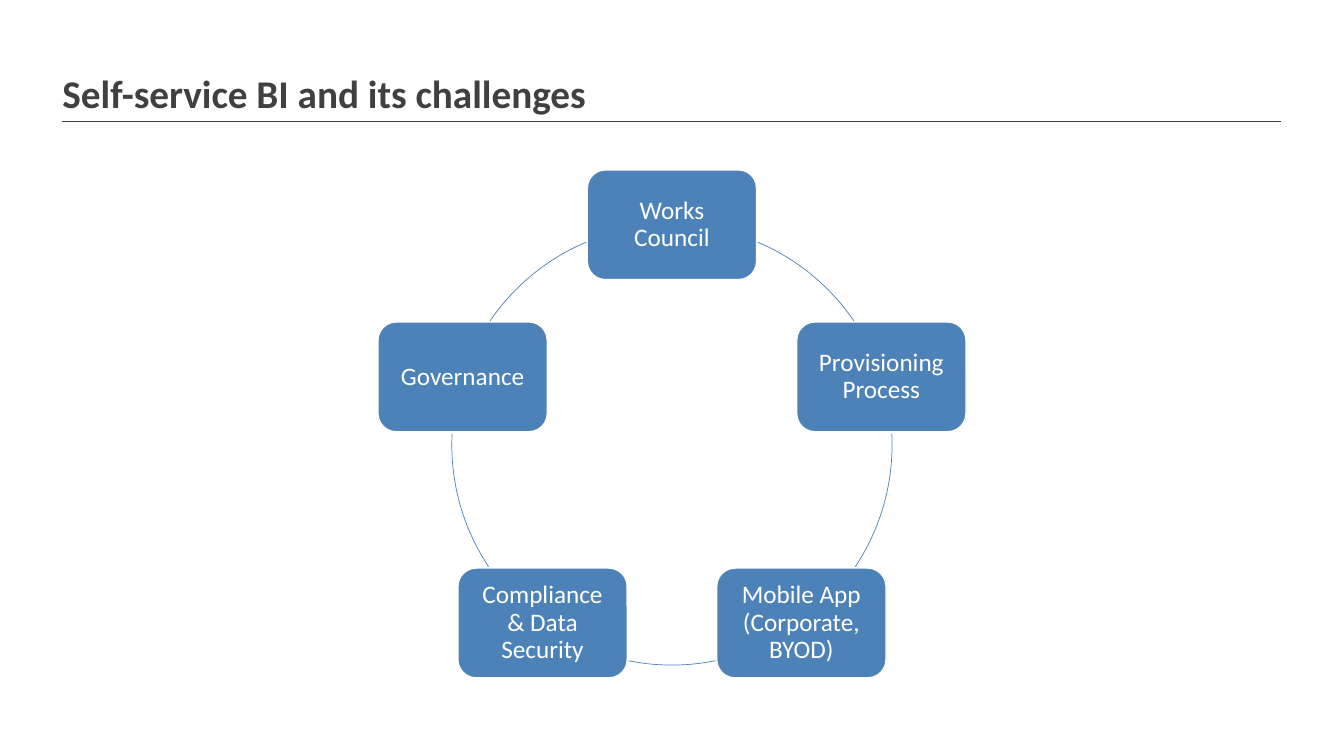
from math import cos, radians, sin

from pptx import Presentation
from pptx.dml.color import RGBColor
from pptx.enum.shapes import MSO_CONNECTOR, MSO_SHAPE
from pptx.enum.text import MSO_ANCHOR, PP_ALIGN
from pptx.oxml.ns import qn
from pptx.util import Inches, Pt

ROUND_BOX = MSO_SHAPE.ROUNDED_RECTANGLE
ARC = MSO_SHAPE.ARC
STRAIGHT = MSO_CONNECTOR.STRAIGHT
MIDDLE, BOTTOM = MSO_ANCHOR.MIDDLE, MSO_ANCHOR.BOTTOM
LEFT, CENTER = PP_ALIGN.LEFT, PP_ALIGN.CENTER

WIDTH, HEIGHT = Inches(13.33), Inches(7.5)
GREY, BLUE, WHITE = "404040", "4D82B8", "FFFFFF"


def rgb(code):
    return RGBColor.from_string(code)


class Deck:
    """Slide style and drawing methods; lengths are percent of the slide's size."""

    font = "Calibri"

    def __init__(self):
        self.prs = Presentation()
        self.prs.slide_width, self.prs.slide_height = WIDTH, HEIGHT
        self.s = self.prs.slides.add_slide(self.prs.slide_layouts[6])

    def at(self, *shares):
        sides = (WIDTH, HEIGHT) * 2
        return [round(side * share / 100) for side, share in zip(sides, shares)]

    def label(self, sp, text, size, color, align, anchor, inset=0, bold=False):
        tf = sp.text_frame
        tf.word_wrap = True
        tf.vertical_anchor = anchor
        tf.margin_left = tf.margin_right = Inches(inset)
        tf.margin_top = tf.margin_bottom = Inches(inset)
        p = tf.paragraphs[0]
        p.text = text
        p.alignment = align
        p.line_spacing = 0.9
        p.font.name, p.font.size, p.font.bold = self.font, Pt(size), bold
        p.font.color.rgb = rgb(color)

    def title(self, text, x, y, w, h):
        sp = self.s.shapes.add_textbox(*self.at(x, y, w, h))
        self.label(sp, text, 28, GREY, LEFT, BOTTOM, bold=True)

    def rule(self, x1, x2, y):
        line = self.s.shapes.add_connector(STRAIGHT, *self.at(x1, y, x2, y))
        line.line.color.rgb = rgb(GREY)
        line.line.width = Pt(0.75)
        sp_pr = line._element.spPr
        sp_pr.append(sp_pr.makeelement(qn("a:effectLst"), {}))

    def box(self, text, cx, cy, w, h):
        sp = self.s.shapes.add_shape(ROUND_BOX, *self.at(cx - w / 2, cy - h / 2, w, h))
        sp.shadow.inherit = False
        sp.fill.solid()
        sp.fill.fore_color.rgb = rgb(BLUE)
        sp.line.color.rgb = rgb(WHITE)
        sp.line.width = Pt(1)
        self.label(sp, text, 18, WHITE, CENTER, MIDDLE, inset=0.12)

    def arc(self, cx, cy, rx, ry, start, end):
        sp = self.s.shapes.add_shape(ARC, *self.at(cx - rx, cy - ry, 2 * rx, 2 * ry))
        sp.shadow.inherit = False
        sp.fill.background()
        sp.line.color.rgb = rgb(BLUE)
        sp.line.width = Pt(0.5)
        for i, angle in enumerate((start, end)):
            sp.adjustments[i] = angle % 360 * 0.6


def main():
    deck = Deck()
    deck.title("Self-service BI and its challenges", 4.65, 8.27, 86.27, 7.2)
    deck.rule(4.65, 95.35, 16.13)

    cx, cy, rx, ry = 50, 58.85, 16.38, 29.12
    challenges = [
        ("Works Council", -67.1, -34.3),
        ("Provisioning Process", -2.9, 33.6),
        ("Mobile App (Corporate, BYOD)", 78.6, 101.4),
        ("Compliance & Data Security", 146.4, 182.9),
        ("Governance", 214.3, 247.1),
    ]
    for i, (text, start, end) in enumerate(challenges):
        angle = radians(360 / len(challenges) * i - 90)
        deck.arc(cx, cy, rx, ry, start, end)
        deck.box(text, cx + rx * cos(angle), cy + ry * sin(angle), 12.6, 14.53)

    deck.prs.save("out.pptx")


if __name__ == "__main__":
    main()
